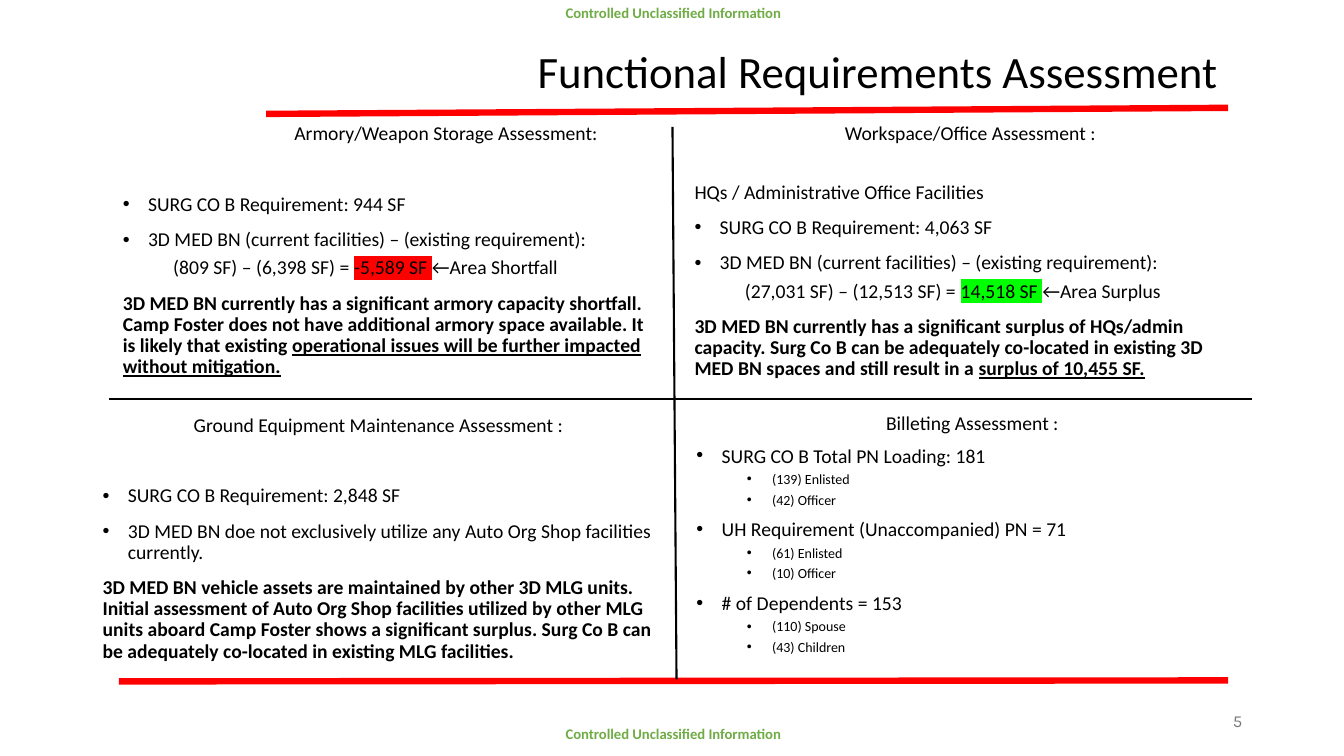
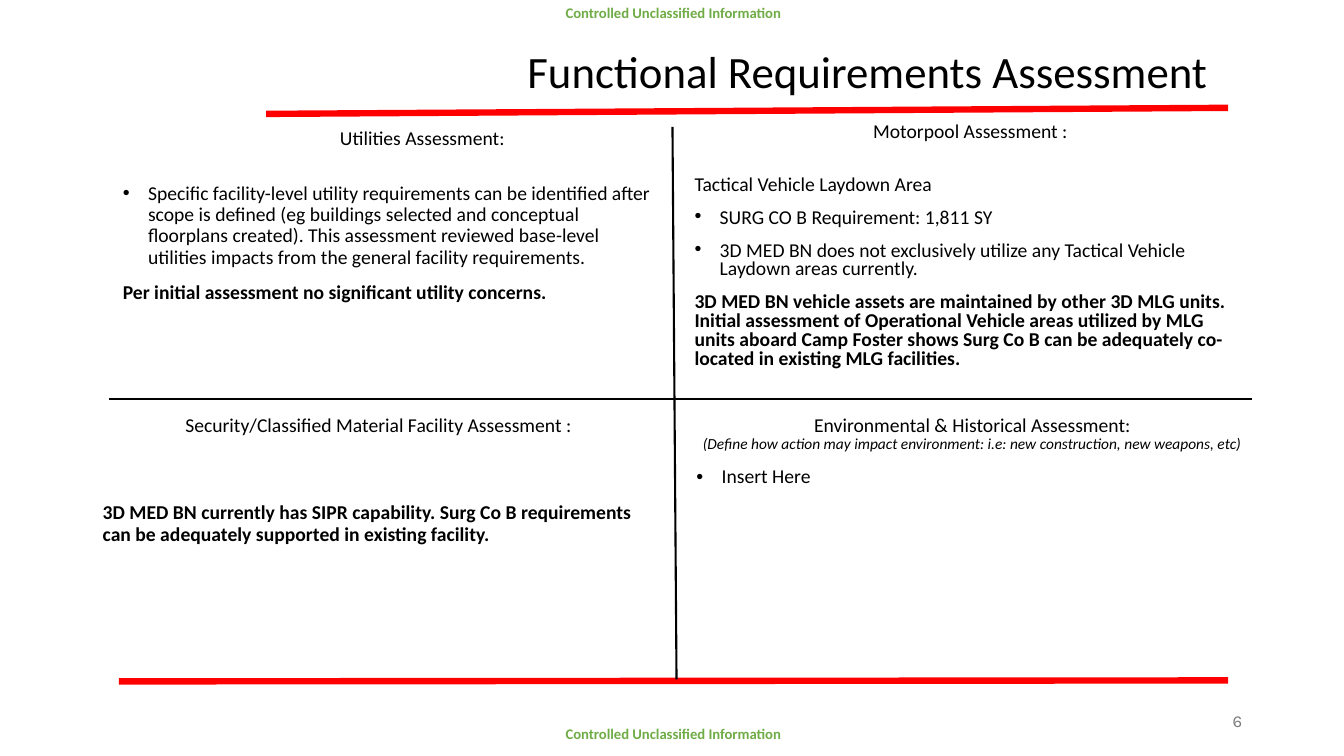
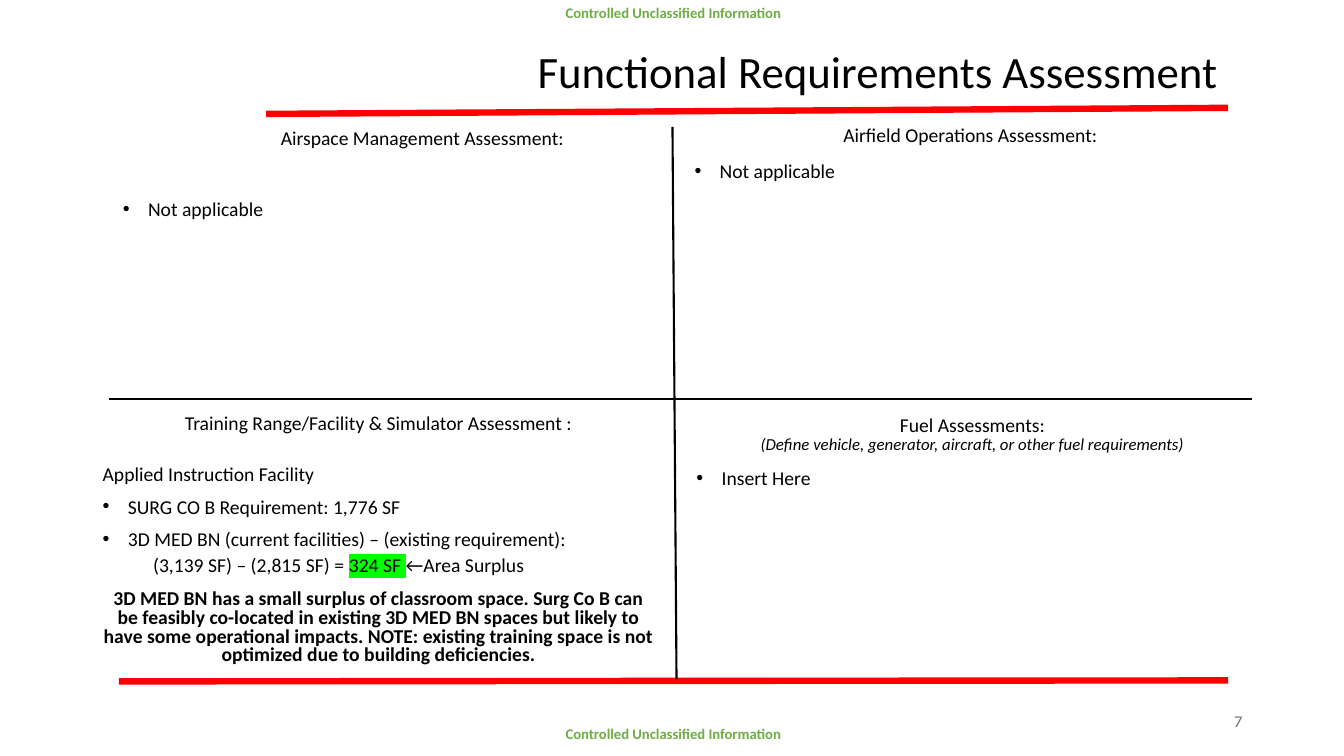
from dataclasses import dataclass, field

from lxml import etree
from pptx import Presentation
from pptx.dml.color import RGBColor
from pptx.enum import shapes, text
from pptx.oxml import ns
from pptx.util import Inches, Pt


@dataclass(frozen=True)
class Theme:
    font: str = "Calibri"
    number_font: str = "Karla"
    ink: str = "000000"
    rule: str = "FF0000"
    marking: str = "6FAC46"
    number: str = "797979"
    shortfall: str = "FF0000"
    surplus: str = "00FF00"
    title_size: float = 32
    body_size: float = 14
    detail_size: float = 10
    marking_size: float = 10.5
    number_size: float = 12
    rule_width: float = 4.56
    divider_width: float = 1.5


THEME = Theme()
TITLE = "Functional Requirements Assessment"
MARKING = "Controlled Unclassified Information"

# Left, top, width, height of the four quadrants
QUADRANTS = {
    "top left": (1.12, 1.18, 5.46, 2.67),
    "top right": (6.79, 1.18, 5.67, 2.67),
    "bottom left": (0.92, 4.07, 5.67, 2.59),
    "bottom right": (6.81, 4.07, 5.67, 2.59),
}


@dataclass(frozen=True)
class Level:
    """Paragraph style: indents in inches, space before in points."""
    left: float = 0
    hanging: float = 0
    before: float = 10
    size: float = THEME.body_size
    bold: bool = False
    italic: bool = False
    centred: bool = False


LEVELS = {
    "heading": Level(centred=True),
    "note": Level(before=0, size=11, italic=True, centred=True),
    "fuel note": Level(before=0, size=12, italic=True, centred=True),
    "plain": Level(),
    "bullet": Level(left=0.25, hanging=0.25),
    "detail": Level(left=0.75, hanging=0.25, before=5, size=THEME.detail_size),
    "sum": Level(left=0.5, before=5),
    "finding": Level(bold=True),
    "centred finding": Level(bold=True, centred=True),
}


@dataclass
class Assessment:
    heading: str
    lines: list = field(default_factory=list)  # (level, text or pieces)
    gap: float = 10  # points between the heading and the first line
    spacing: float = 0.9
    shift: float = 0  # heading indent, inches
    drop: float = 0  # extra inset above the heading, inches


def area_sum(formula, result, highlight, verdict):
    return ("sum", [(formula, None), (result, highlight), (verdict, None)])


class Deck:
    def __init__(self, theme):
        self.theme = theme
        self.prs = Presentation()
        self.prs.slide_width, self.prs.slide_height = Inches(13.33), Inches(7.5)
        self.layout = self.prs.slide_layouts[5]
        self.slide = None

    # Basic elements
    def style(self, run, size, color, font=None, bold=False, italic=False):
        run.font.size = Pt(size)
        run.font.name = font or self.theme.font
        run.font.color.rgb = RGBColor.from_string(color)
        run.font.bold, run.font.italic = bold, italic

    def line(self, start, end, color, width):
        line = self.slide.shapes.add_connector(
            shapes.MSO_CONNECTOR.STRAIGHT, *map(Inches, start + end))
        line.line.color.rgb = RGBColor.from_string(color)
        line.line.width = Pt(width)
        etree.SubElement(line.element.spPr, ns.qn("a:effectLst"))
        return line

    def box(self, left, top, width, height):
        frame = self.slide.shapes.add_textbox(
            *map(Inches, (left, top, width, height))).text_frame
        frame.word_wrap = True
        return frame

    def highlight(self, run, color):
        mark = etree.Element(ns.qn("a:highlight"))
        etree.SubElement(mark, ns.qn("a:srgbClr")).set("val", color)
        run._r.get_or_add_rPr().find(ns.qn("a:solidFill")).addnext(mark)

    # Slide frame
    def add_rules(self):
        """Red rules, kept on the layout so that every slide shows them."""
        for start, end in (((2.64, 1.13), (12.18, 1.07)),
                           ((1.18, 6.76), (12.18, 6.75))):
            rule = self.line(start, end, self.theme.rule, self.theme.rule_width)
            self.layout.shapes.element.append(rule.element)

    def add_slide(self, number, title_inset=0.1):
        first = self.slide is None
        self.slide = self.prs.slides.add_slide(self.layout)
        if first:
            self.add_rules()
        self.title(title_inset)
        self.page_number(number)
        for start, end in (((6.67, 1.26), (6.71, 6.74)),
                           ((1.08, 3.96), (12.42, 3.96))):
            self.line(start, end, self.theme.ink, self.theme.divider_width)
        for top in (0.03, 7.18):
            self.marking(top)

    def title(self, inset):
        title = self.slide.shapes.title
        title.left, title.top = Inches(2.64), Inches(0.4)
        title.width, title.height = Inches(9.54), Inches(0.67)
        frame = title.text_frame
        frame.text = TITLE
        frame.auto_size = text.MSO_AUTO_SIZE.NONE
        frame.vertical_anchor = text.MSO_ANCHOR.MIDDLE
        frame.margin_right = Inches(inset)
        paragraph = frame.paragraphs[0]
        paragraph.alignment = text.PP_ALIGN.RIGHT
        paragraph.line_spacing = 0.9
        self.style(paragraph.runs[0], self.theme.title_size, self.theme.ink)

    def page_number(self, number):
        frame = self.box(9.42, 6.95, 3, 0.4)
        frame.text = str(number)
        frame.vertical_anchor = text.MSO_ANCHOR.MIDDLE
        frame.paragraphs[0].alignment = text.PP_ALIGN.RIGHT
        self.style(frame.paragraphs[0].runs[0], self.theme.number_size,
                   self.theme.number, self.theme.number_font)

    def marking(self, top):
        frame = self.box(5.61, top, 2.52, 0.2)
        frame.margin_left = frame.margin_right = frame.margin_bottom = 0
        frame.margin_top = Inches(0.01)
        frame.text = MARKING
        self.style(frame.paragraphs[0].runs[0], self.theme.marking_size,
                   self.theme.marking, bold=True)

    # Quadrant content
    def paragraph(self, paragraph, level_name, content, spacing, before=None,
                  shift=0):
        level = LEVELS[level_name]
        paragraph.line_spacing = spacing
        paragraph.space_before = Pt(level.before if before is None else before)
        if level.centred:
            paragraph.alignment = text.PP_ALIGN.CENTER
        properties = paragraph._p.get_or_add_pPr()
        properties.set("marL", str(Inches(level.left + shift)))
        properties.set("indent", str(Inches(-level.hanging)))
        if level.hanging:
            etree.SubElement(properties, ns.qn("a:buFont")).set("typeface", "Arial")
            etree.SubElement(properties, ns.qn("a:buChar")).set("char", "•")
        pieces = [(content, None)] if isinstance(content, str) else content
        for words, accent in pieces:
            run = paragraph.add_run()
            run.text = words
            self.style(run, level.size, self.theme.ink, bold=level.bold,
                       italic=level.italic)
            if accent == "underline":
                run.font.underline = True
            elif accent:
                self.highlight(run, accent)

    def assessment(self, place, item):
        frame = self.box(*QUADRANTS[place])
        frame.margin_top = Inches(0.05 + item.drop)
        self.paragraph(frame.paragraphs[0], "heading", item.heading,
                       item.spacing, before=0, shift=item.shift)
        for index, (level_name, content) in enumerate(item.lines):
            gap = item.gap if index == 0 else None
            self.paragraph(frame.add_paragraph(), level_name, content,
                           item.spacing, before=gap)


COMPARISON = ("bullet", "3D MED BN (current facilities) – (existing requirement):")

# Page number, title inset, assessments by quadrant
PAGES = [
    (5, 0.1, {
        "top left": Assessment("Armory/Weapon Storage Assessment:", [
            ("bullet", "SURG CO B Requirement: 944 SF"),
            COMPARISON,
            area_sum("(809 SF) – (6,398 SF) = ", "-5,589 SF ",
                     THEME.shortfall, "←Area Shortfall"),
            ("finding", [
                ("3D MED BN currently has a significant armory capacity shortfall. "
                 "Camp Foster does not have additional armory space available. "
                 "It is likely that existing ", None),
                ("operational issues will be further impacted without mitigation.",
                 "underline")]),
        ], gap=35.4, shift=1.15),
        "top right": Assessment("Workspace/Office Assessment :", [
            ("plain", "HQs / Administrative Office Facilities"),
            ("bullet", "SURG CO B Requirement: 4,063 SF"),
            COMPARISON,
            area_sum("(27,031 SF) – (12,513 SF) = ", "14,518 SF ",
                     THEME.surplus, "←Area Surplus"),
            ("finding", [
                ("3D MED BN currently has a significant surplus of HQs/admin "
                 "capacity. Surg Co B can be adequately co-located in existing 3D "
                 "MED BN spaces and still result in a ", None),
                ("surplus of 10,455 SF.", "underline")]),
        ], gap=26.8),
        "bottom left": Assessment("Ground Equipment Maintenance Assessment :", [
            ("bullet", "SURG CO B Requirement: 2,848 SF"),
            ("bullet", "3D MED BN doe not exclusively utilize any Auto Org Shop "
                       "facilities currently."),
            ("finding", "3D MED BN vehicle assets are maintained by other 3D MLG "
                        "units. Initial assessment of Auto Org Shop facilities "
                        "utilized by other MLG units aboard Camp Foster shows a "
                        "significant surplus. Surg Co B can be adequately "
                        "co-located in existing MLG facilities."),
        ], gap=35.4),
        "bottom right": Assessment("Billeting Assessment :", [
            ("bullet", "SURG CO B Total PN Loading: 181"),
            ("detail", "(139) Enlisted"),
            ("detail", "(42) Officer"),
            ("bullet", "UH Requirement (Unaccompanied) PN = 71"),
            ("detail", "(61) Enlisted"),
            ("detail", "(10) Officer"),
            ("bullet", "# of Dependents = 153"),
            ("detail", "(110) Spouse"),
            ("detail", "(43) Children"),
        ], spacing=0.8),
    }),
    (6, 0.2, {
        "top left": Assessment("Utilities Assessment:", [
            ("bullet", "Specific facility-level utility requirements can be "
                       "identified after scope is defined (eg buildings selected "
                       "and conceptual floorplans created). This assessment "
                       "reviewed base-level utilities impacts from the general "
                       "facility requirements."),
            ("finding", "Per initial assessment no significant utility concerns."),
        ], gap=23.8, shift=0.68, drop=0.05),
        "top right": Assessment("Motorpool Assessment :", [
            ("plain", "Tactical Vehicle Laydown Area"),
            ("bullet", "SURG CO B Requirement: 1,811 SY"),
            ("bullet", "3D MED BN does not exclusively utilize any Tactical Vehicle "
                       "Laydown areas currently."),
            ("finding", "3D MED BN vehicle assets are maintained by other 3D MLG "
                        "units. Initial assessment of Operational Vehicle areas "
                        "utilized by MLG units aboard Camp Foster shows Surg Co B "
                        "can be adequately co-located in existing MLG facilities."),
        ], gap=24, spacing=0.8),
        "bottom left": Assessment(
            "Security/Classified Material Facility Assessment :", [
                ("finding", "3D MED BN currently has SIPR capability. Surg Co B "
                            "requirements can be adequately supported in existing "
                            "facility."),
            ], gap=47.6),
        "bottom right": Assessment("Environmental & Historical Assessment:", [
            ("note", "(Define how action may impact environment: i.e: new "
                     "construction, new weapons, etc)"),
            ("bullet", "Insert Here"),
        ], gap=0),
    }),
    (7, 0.1, {
        "top left": Assessment("Airspace Management Assessment:", [
            ("bullet", "Not applicable"),
        ], gap=35.4, shift=0.68, drop=0.05),
        "top right": Assessment("Airfield Operations Assessment:", [
            ("bullet", "Not applicable"),
        ], drop=0.02),
        "bottom left": Assessment(
            "Training Range/Facility & Simulator Assessment :", [
                ("plain", "Applied Instruction Facility"),
                ("bullet", "SURG CO B Requirement: 1,776 SF"),
                COMPARISON,
                area_sum("(3,139 SF) – (2,815 SF) = ", "324 SF ",
                         THEME.surplus, "←Area Surplus"),
                ("centred finding",
                 "3D MED BN has a small surplus of classroom space. Surg Co B can "
                 "be feasibly co-located in existing 3D MED BN spaces but likely to "
                 "have some operational impacts. NOTE: existing training space is "
                 "not optimized due to building deficiencies."),
            ], gap=23, spacing=0.8),
        "bottom right": Assessment("Fuel Assessments:", [
            ("fuel note", "(Define vehicle, generator, aircraft, or other fuel "
                          "requirements)"),
            ("bullet", "Insert Here"),
        ], gap=0),
    }),
]


def main():
    deck = Deck(THEME)
    for number, title_inset, assessments in PAGES:
        deck.add_slide(number, title_inset)
        for place, item in assessments.items():
            deck.assessment(place, item)
    deck.prs.save("out.pptx")


if __name__ == "__main__":
    main()
